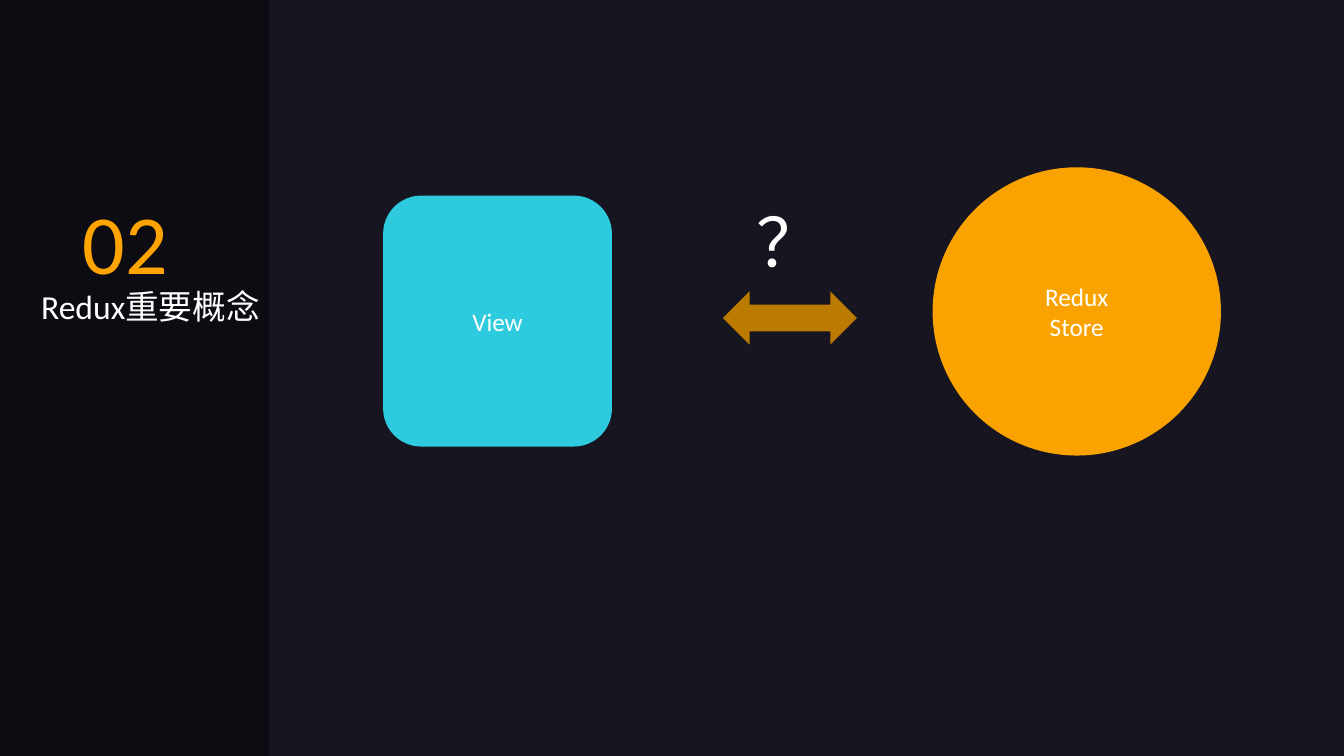
from pptx import Presentation
from pptx.dml.color import RGBColor
from pptx.enum.shapes import MSO_SHAPE as Preset
from pptx.enum.text import MSO_ANCHOR as Anchor, PP_ALIGN as Align
from pptx.util import Inches, Pt

COLORS = {
    "background": "171620", "sidebar": "0E0C13", "view": "2ECBDE",
    "store": "FAA300", "arrow": "BB7A00", "number": "FFA400", "text": "FFFFFF",
}


def color(name):
    """Return the named colour."""
    return RGBColor.from_string(COLORS[name])


def write(frame, lines, size, color_name="text", align=Align.LEFT):
    """Write each line as a paragraph of the text frame."""
    for index, line in enumerate(lines):
        paragraph = frame.add_paragraph() if index else frame.paragraphs[0]
        paragraph.alignment = align
        run = paragraph.add_run()
        run.text = line
        for key, value in {"name": "Calibri", "size": Pt(size)}.items():
            setattr(run.font, key, value)
        run.font.color.rgb = color(color_name)


def add_block(slide, preset, box, fill, lines=()):
    """Add a flat preset shape with centred text."""
    shape = slide.shapes.add_shape(preset, *map(Inches, box))
    shape.shadow.inherit = False
    shape.fill.solid()
    shape.fill.fore_color.rgb = color(fill)
    shape.line.fill.background()
    shape.text_frame.vertical_anchor = Anchor.MIDDLE
    write(shape.text_frame, lines, 18, align=Align.CENTER)


def add_label(slide, box, text, size, color_name="text", wrap=False):
    """Add a text box holding one line of text."""
    frame = slide.shapes.add_textbox(*map(Inches, box)).text_frame
    frame.word_wrap = wrap
    write(frame, [text], size, color_name)


def add_sidebar(slide, box):
    """Add the dark band with the chapter number and title."""
    left, top, _, _ = box
    add_block(slide, Preset.RECTANGLE, box, "sidebar")
    add_label(slide, (left + 0.31, top + 2.79, 2.39, 0.5), "Redux重要概念", 24, wrap=True)
    add_label(slide, (left + 0.72, top + 1.84, 1.05, 1.11), "02", 60, "number")


def add_diagram(slide, box):
    """Add the view, the store and the open question between them."""
    left, top, width, height = box
    add_block(slide, Preset.ROUNDED_RECTANGLE, (left, top + 0.28, 2.27, 2.49), "view", ["View"])
    add_block(slide, Preset.OVAL, (left + width - height, top, height, height),
              "store", ["Redux", "Store"])
    add_block(slide, Preset.LEFT_RIGHT_ARROW, (left + 3.37, top + 1.23, 1.33, 0.53), "arrow")
    add_label(slide, (left + 3.6, top + 0.28, 0.88, 0.91), "？", 48)


def main():
    """Build and save the slide."""
    presentation = Presentation()
    presentation.slide_width = Inches(13.33)
    presentation.slide_height = Inches(7.5)
    slide = presentation.slides.add_slide(presentation.slide_layouts[6])
    slide.background.fill.solid()
    slide.background.fill.fore_color.rgb = color("background")
    add_sidebar(slide, (0, 0, 2.67, 7.5))
    add_diagram(slide, (3.8, 1.66, 8.31, 2.86))
    presentation.save("out.pptx")


main()
